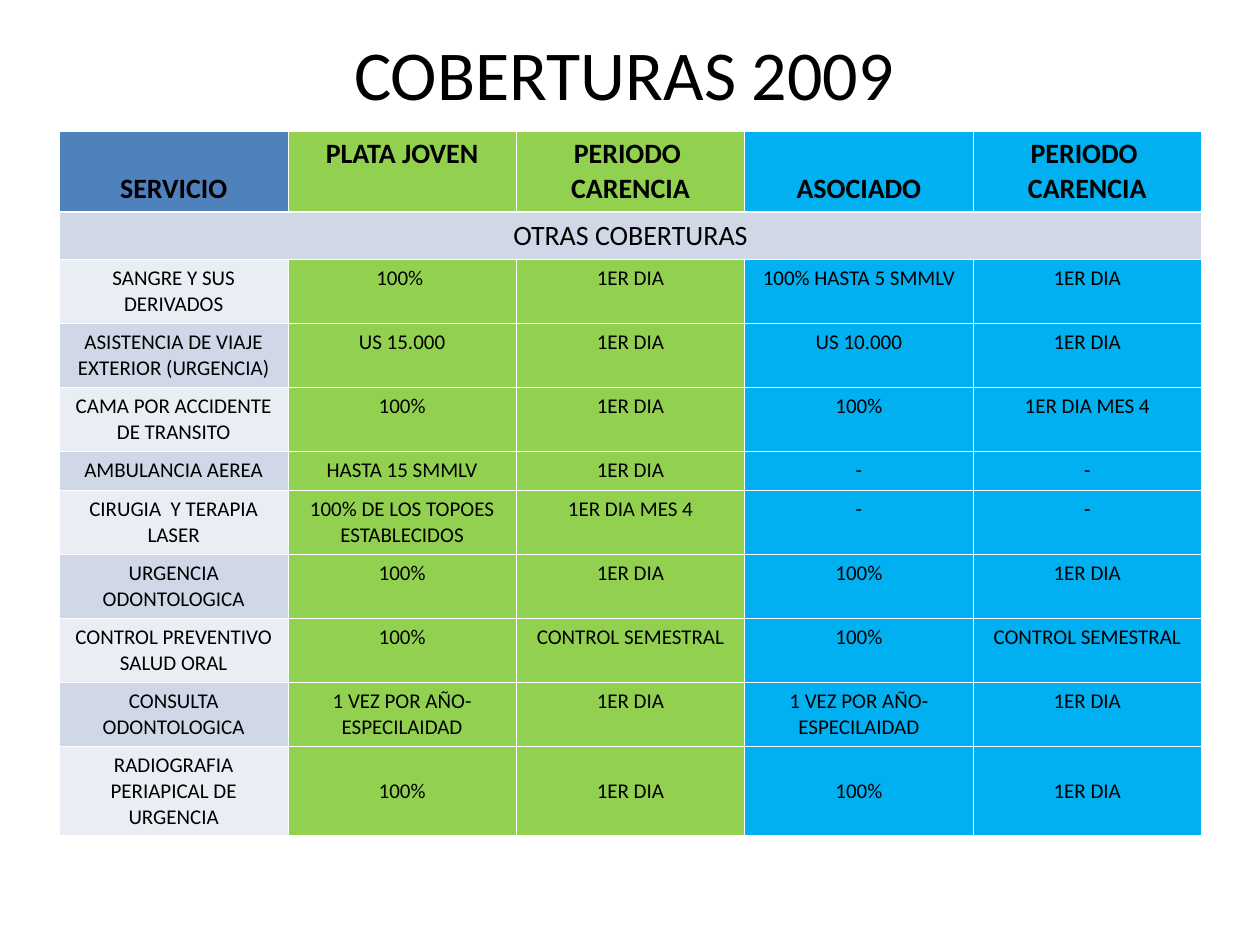
from lxml.etree import SubElement
from pptx import Presentation
from pptx.dml.color import RGBColor
from pptx.enum.text import MSO_ANCHOR as Anchor, PP_ALIGN as Align
from pptx.oxml.ns import qn
from pptx.util import Cm, Pt

TITLE = "COBERTURAS 2009"
HEAD = ["SERVICIO", "PLATA JOVEN", "PERIODO  CARENCIA", "ASOCIADO", "PERIODO  CARENCIA"]
BAND = "OTRAS COBERTURAS"
DAY = "1ER DIA"
ROWS = [
    ("SANGRE Y SUS DERIVADOS", "100% ", DAY, "100% HASTA 5 SMMLV", DAY),
    ("ASISTENCIA DE VIAJE EXTERIOR (URGENCIA)", "US 15.000", DAY, "US 10.000", DAY),
    ("CAMA POR ACCIDENTE DE TRANSITO", "100%", DAY, "100%", "1ER DIA MES 4"),
    ("AMBULANCIA AEREA", "HASTA 15 SMMLV", DAY, "-", "-"),
    ("CIRUGIA  Y TERAPIA LASER", "100% DE LOS TOPOES ESTABLECIDOS", "1ER DIA MES 4", "-", "-"),
    ("URGENCIA ODONTOLOGICA", "100%", DAY, "100%", DAY),
    ("CONTROL PREVENTIVO SALUD ORAL", "100%", "CONTROL SEMESTRAL", "100%", "CONTROL SEMESTRAL"),
    ("CONSULTA ODONTOLOGICA", "1 VEZ POR AÑO-ESPECILAIDAD", DAY, "1 VEZ POR AÑO-ESPECILAIDAD", DAY),
    ("RADIOGRAFIA PERIAPICAL DE URGENCIA", "100%", DAY, "100%", DAY),
]
GREEN, CYAN, BLUE = "92D050", "00B0F0", "4F81BD"
PLANS = [GREEN, GREEN, CYAN, CYAN]
BANDS = ["E9EDF4", "D0D8E8"]
TALL, SHORT, LAST = 1.29, 0.79, 1.79
HEIGHTS = [1.64, 0.95] + [TALL] * 3 + [SHORT] + [TALL] * 4 + [LAST]
LEFT, TOP, WIDTH = 1.2, 2.64, 23.02


def color(code):
    return RGBColor.from_string(code)


def write(frame, text, size=12, bold=False, anchor=Anchor.TOP):
    frame.word_wrap = True
    frame.vertical_anchor = anchor
    par = frame.paragraphs[0]
    par.alignment = Align.CENTER
    run = par.add_run()
    run.text = text
    font = run.font
    font.name, font.size, font.bold = "Calibri", Pt(size), bold
    font.color.rgb = color("000000")


def edge(cell, top, base):
    """Draw white borders; top and base are widths in points."""
    props = cell._tc.get_or_add_tcPr()
    for side, width in zip("LRTB", (0.45, 0.45, top, base)):
        line = SubElement(props, qn(f"a:ln{side}"), w=str(Pt(width)))
        fill = SubElement(line, qn("a:solidFill"))
        SubElement(fill, qn("a:srgbClr"), val="FFFFFF")


def paint(cell, code):
    cell.fill.solid()
    cell.fill.fore_color.rgb = color(code)


def main():
    deck = Presentation()
    deck.slide_width, deck.slide_height = Cm(25.4), Cm(19.05)
    slide = deck.slides.add_slide(deck.slide_layouts[6])
    box = slide.shapes.add_textbox(Cm(1.78), Cm(0.58), Cm(21.6), Cm(1.78))
    write(box.text_frame, TITLE, size=40, anchor=Anchor.MIDDLE)

    grid = [HEAD, [BAND] + [""] * 4] + ROWS
    table = slide.shapes.add_table(
        len(grid), len(HEAD), Cm(LEFT), Cm(TOP), Cm(WIDTH), Cm(sum(HEIGHTS))
    ).table
    for row, high in zip(table.rows, HEIGHTS):
        row.height = Cm(high)
    table.cell(1, 0).merge(table.cell(1, len(HEAD) - 1))

    last = len(grid) - 1
    for r, texts in enumerate(grid):
        for c, text in enumerate(texts):
            cell = table.cell(r, c)
            edge(cell, 1.47 if r == 1 else 0.45, 1.47 if r == 0 else 0.45)
            if r == 1:
                paint(cell, BANDS[1])
            elif c:
                paint(cell, PLANS[c - 1])
            else:
                paint(cell, BANDS[r % 2] if r else BLUE)
            if not text:
                continue
            anchor = Anchor.TOP
            if r == 0 and text in ("SERVICIO", "ASOCIADO"):
                anchor = Anchor.BOTTOM
            elif r == last:
                anchor = Anchor.MIDDLE
            write(cell.text_frame, text, size=16 if r < 2 else 12, bold=r == 0)
            cell.vertical_anchor = anchor

    deck.save("out.pptx")


if __name__ == "__main__":
    main()
